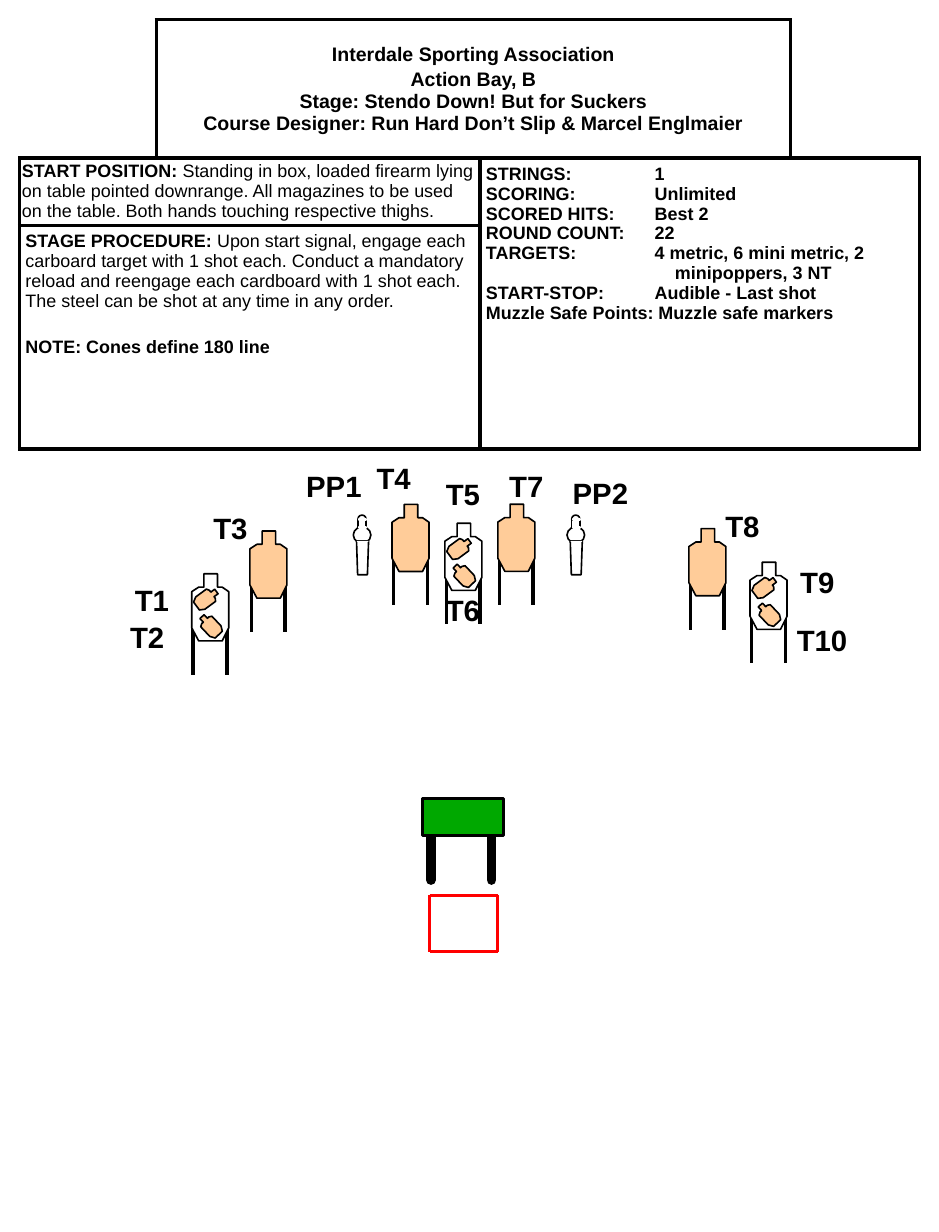
from lxml import etree
from pptx import Presentation
from pptx import util as u
from pptx.dml.color import RGBColor
from pptx.enum import shapes, text
from pptx.oxml import ns

HUES = {"black": "000000", "white": "FFFFFF", "tan": "FFCC99",
        "red": "FF0000", "green": "00A800"}
BODY = [(7.5, 0), (15.8, 0), (15.8, 8.2), (18.7, 8.2), (22.7, 11), (22.7, 33.2),
        (18.7, 41.2), (4.3, 41.2), (0, 33.2), (0, 11), (4.3, 8.2), (7.5, 8.2)]
WIDE, TALL = 22.7, 41.2
SIDES = "LRTB"


def hue(name):
    return RGBColor.from_string(HUES[name])


def write(frame, paras, size=11, align=None, gap=0, tab=0, indents=()):
    for i, parts in enumerate(paras):
        para = frame.paragraphs[0] if i == 0 else frame.add_paragraph()
        props = para._p.get_or_add_pPr()
        if i in indents:
            props.set("marL", str(u.Pt(indents[i])))
            props.set("indent", "0")
        if tab:
            stops = etree.SubElement(props, ns.qn("a:tabLst"))
            etree.SubElement(stops, ns.qn("a:tab"), pos=str(u.Pt(tab)), algn="l")
        if align:
            para.alignment = align
        if i == 1 and gap:
            para.space_before = u.Pt(gap)
        for j, part in enumerate(parts):
            for k, line in enumerate(part.split("\n")):
                if k:
                    para.add_line_break()
                run = para.add_run()
                run.text = line
                font = run.font
                font.name, font.size, font.bold = "Arial", u.Pt(size), j == 0
                font.color.rgb = hue("black")


class Stage:
    def __init__(self, slide):
        self.slide = slide
        self.pool = slide.shapes

    def group(self):
        self.pool = self.slide.shapes.add_group_shape().shapes

    def paint(self, shape, fill, line="black", width=1):
        shape.shadow.inherit = False
        shape.fill.solid()
        shape.fill.fore_color.rgb = hue(fill)
        if line:
            shape.line.color.rgb = hue(line)
            shape.line.width = u.Pt(width)
        else:
            shape.line.fill.background()

    def shape(self, kind, x, y, w, h, fill="white", line="black", width=1):
        item = self.pool.add_shape(kind, u.Pt(x), u.Pt(y), u.Pt(w), u.Pt(h))
        self.paint(item, fill, line, width)

    def line(self, x1, y1, x2, y2, color="black", width=2.25, cap="flat"):
        item = self.pool.add_connector(shapes.MSO_CONNECTOR.STRAIGHT,
                                       u.Pt(x1), u.Pt(y1), u.Pt(x2), u.Pt(y2))
        item.line.color.rgb = hue(color)
        item.line.width = u.Pt(width)
        item.line._get_or_add_ln().set("cap", cap)
        etree.SubElement(item._element.spPr, ns.qn("a:effectLst"))

    def poly(self, points, fill, turn=0):
        spots = [(u.Pt(x), u.Pt(y)) for x, y in points]
        pen = self.pool.build_freeform(*spots[0])
        pen.add_line_segments(spots[1:], close=True)
        item = pen.convert_to_shape()
        self.paint(item, fill)
        item.rotation = turn

    def body(self, x, y, w=WIDE, h=TALL, fill="tan", turn=0):
        self.poly([(x + a * w / WIDE, y + b * h / TALL) for a, b in BODY], fill, turn)

    def target(self, x, y, pair=False):
        self.group()
        for leg in (1, 21.7):
            self.line(x + leg, y + 30.4, x + leg, y + 62)
        self.body(x, y, fill="white" if pair else "tan")
        if pair:
            self.body(x + 4.3, y + 7.7, 9.4, 15.1, turn=53.6)
            self.body(x + 6.7, y + 24.3, 9.4, 15.1, turn=316.7)

    def popper(self, x, y):
        self.group()
        oval, rect = shapes.MSO_SHAPE.OVAL, shapes.MSO_SHAPE.RECTANGLE
        self.shape(oval, x + 2.9, y, 5, 5)
        self.shape(oval, x, y + 7.2, 10.8, 10)
        self.poly([(x + 2, y + 15.8), (x + 9.4, y + 15.8),
                   (x + 8.7, y + 36.6), (x + 2.7, y + 36.6)], "white")
        self.shape(rect, x + 2.9, y + 2.9, 5, 5)
        self.shape(rect, x + 2.2, y + 15.8, 7.2, 0.7, line=None)
        for down in (7.2, 2.2):
            self.shape(rect, x + 3.6, y + down, 4.3, 0.7, line="white")

    def label(self, words, x, y, w=41.8):
        box = self.slide.shapes.add_textbox(u.Pt(x), u.Pt(y), u.Pt(w), u.Pt(29))
        box.text_frame.word_wrap = True
        write(box.text_frame, [(words,)], size=18)

    def edge(self, cell, sides):
        props = cell._tc.get_or_add_tcPr()
        for i, side in enumerate(sides):
            line = etree.Element(ns.qn("a:ln" + side), w=str(u.Pt(2.25)))
            fill = etree.SubElement(line, ns.qn("a:solidFill"))
            etree.SubElement(fill, ns.qn("a:srgbClr"), val=HUES["black"])
            props.insert(i, line)

    def table(self, x, y, cols, rows):
        item = self.slide.shapes.add_table(len(rows), len(cols), u.Pt(x), u.Pt(y),
                                           u.Pt(sum(cols)), u.Pt(sum(rows)))
        grid = item.table
        grid.first_row = grid.horz_banding = False
        for col, wide in zip(grid.columns, cols):
            col.width = u.Pt(wide)
        for row, high in zip(grid.rows, rows):
            row.height = u.Pt(high)
        for r in range(len(rows)):
            for c in range(len(cols)):
                cell = grid.cell(r, c)
                cell.fill.solid()
                cell.fill.fore_color.rgb = hue("white")
                self.edge(cell, {(0, 0): "RB", (0, 3): "LB"}.get((r, c), SIDES))
        return grid

    def fill(self, grid, start, end, paras, pad=(3.6, 3.6), **form):
        cell = grid.cell(*start)
        cell.merge(grid.cell(*end))
        cell.margin_left = cell.margin_right = u.Pt(pad[0])
        cell.margin_top = cell.margin_bottom = u.Pt(pad[1])
        write(cell.text_frame, paras, **form)
        return cell


def main():
    deck = Presentation()
    deck.slide_width, deck.slide_height = u.Pt(576), u.Pt(756)
    stage = Stage(deck.slides.add_slide(deck.slide_layouts[6]))

    grid = stage.table(12, 12, [83.8, 198.7, 190.6, 79.2], [85, 41.5, 137])
    title = stage.fill(grid, (0, 1), (0, 2), [
        ("Interdale Sporting Association",),
        ("Action Bay, B\nStage: Stendo Down! But for Suckers\n"
         "Course Designer: Run Hard Don’t Slip & Marcel Englmaier",)],
        size=12, align=text.PP_ALIGN.CENTER, gap=2)
    title.vertical_anchor = text.MSO_ANCHOR.MIDDLE
    stage.fill(grid, (1, 0), (1, 1), [
        ("START POSITION: ", "Standing in box, loaded firearm lying on table pointed "
         "downrange. All magazines to be used on the table. Both hands touching "
         "respective thighs.")], pad=(1.5, 2.2))
    stage.fill(grid, (2, 0), (2, 1), [
        ("STAGE PROCEDURE: ", "Upon start signal, engage each carboard target with 1 "
         "shot each. Conduct a mandatory reload and reengage each cardboard with 1 shot "
         "each. The steel can be shot at any time in any order."),
        ("NOTE: Cones define 180 line",)], gap=16)
    stage.fill(grid, (1, 2), (2, 3), [
        ("STRINGS:\t1",), ("SCORING:\tUnlimited",), ("SCORED HITS:\tBest 2",),
        ("ROUND COUNT:\t22",), ("TARGETS:\t4 metric, 6 mini metric, 2",),
        ("minipoppers, 3 NT",), ("START-STOP:\tAudible - Last shot",),
        ("Muzzle Safe Points: Muzzle safe markers",)], tab=103.5, indents={5: 116})

    stage.group()
    left, right, top, low = 263.5, 305.3, 549.5, 584
    for ends in ((left, top, right, top), (right, top, right, low),
                 (left, top, left, low), (left, low, right, low)):
        stage.line(*ends, color="red", width=2)

    for x, y, pair in ((117.6, 352.1, True), (422.6, 324.4, False),
                       (153.3, 325.8, False), (305.4, 309.4, False),
                       (460.1, 345, True), (272.9, 321.1, True),
                       (240.5, 309.5, False)):
        stage.target(x, y, pair)
    for x in (216.7, 347.8):
        stage.popper(x, 316.1)

    stage.group()
    for x in (301.5, 264.3):
        stage.line(x, 512.6, x, 540, width=6, cap="rnd")
    stage.shape(shapes.MSO_SHAPE.RECTANGLE, 259.2, 490, 49.7, 23, "green", width=1.75)

    for words, x, y in (("T1", 75.6, 353.5), ("T2", 72.7, 376.6), ("T3", 123.8, 309.6),
                        ("T4", 223.9, 278.6), ("T5", 266.4, 288.7), ("T6", 266.4, 360),
                        ("T7", 305.3, 283.7), ("T8", 437.8, 308.2), ("T9", 483.8, 342.7)):
        stage.label(words, x, y)
    for words, x, y in (("PP1", 180.7, 283.7), ("PP2", 344.2, 288), ("T10", 481.7, 378)):
        stage.label(words, x, y, 54)

    deck.save("out.pptx")


if __name__ == "__main__":
    main()
